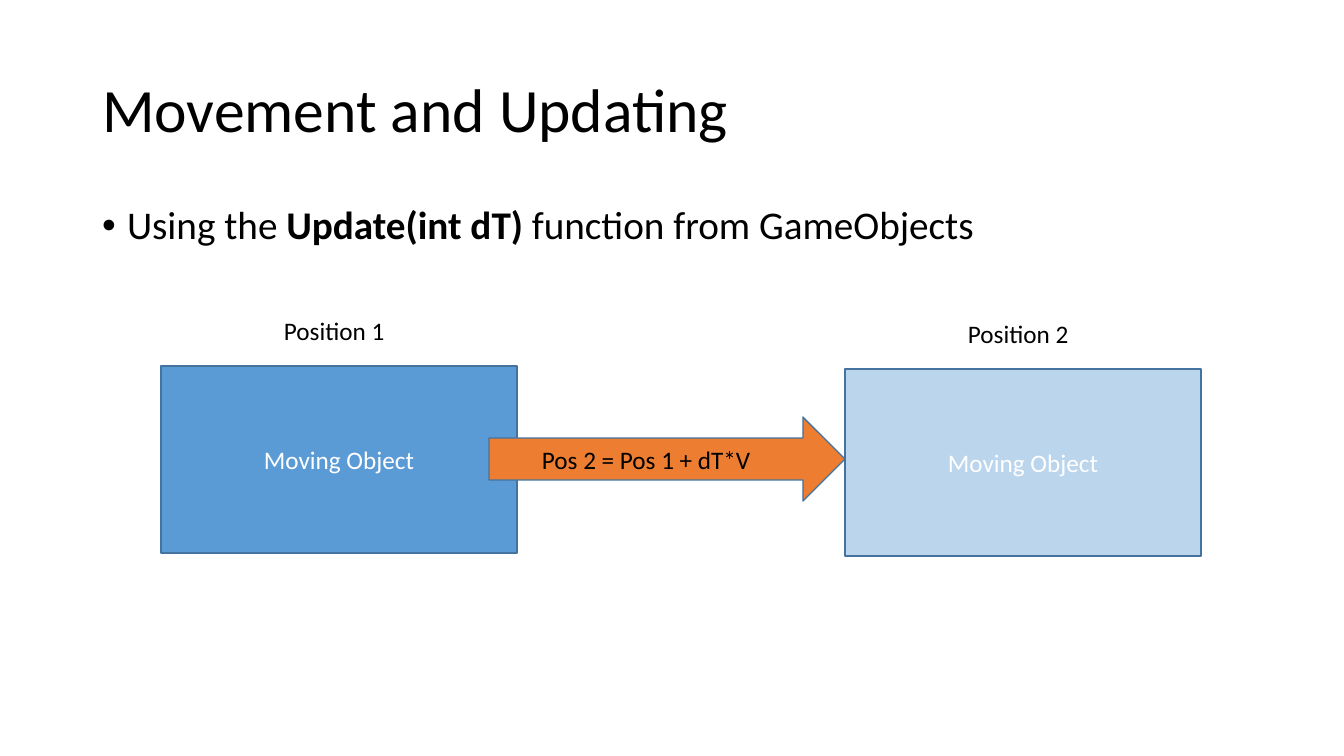
from pptx import Presentation
from pptx.dml.color import RGBColor
from pptx.enum.shapes import MSO_SHAPE as Shape
from pptx.enum.text import MSO_ANCHOR as Anchor, MSO_AUTO_SIZE as Fit, PP_ALIGN as Align
from pptx.oxml.ns import qn
from pptx.util import Emu, Pt
from lxml.etree import SubElement

SCALE = 914400 / 100.8


def px(num):
    """Turn whole pixels into EMU."""
    return Emu(round(num * SCALE))


def rgb(code):
    """Turn a hex string into a colour."""
    return RGBColor.from_string(code)


class Deck:
    """Holds the style and the current slide."""

    font, black, white = "Calibri", "000000", "FFFFFF"
    blue, edge, orange = "5B9BD5", "43739E", "ED7D31"

    def __init__(self):
        """Open a wide deck with one title and body slide."""
        self.file = Presentation()
        self.file.slide_width, self.file.slide_height = px(1344), px(756)
        self.slide = self.file.slides.add_slide(self.file.slide_layouts[1])

    def style(self, para, size, color, align=Align.LEFT):
        """Format a paragraph and all its runs."""
        para.alignment = align
        for run in para.runs:
            font = run.font
            font.name, font.size = self.font, Pt(size)
            font.color.rgb = rgb(color)

    def place(self, item, box, anchor):
        """Move a placeholder and return its first paragraph."""
        item.left, item.top, item.width, item.height = map(px, box)
        frame = item.text_frame
        frame.auto_size, frame.vertical_anchor = Fit.NONE, anchor
        para = frame.paragraphs[0]
        para.line_spacing = 0.9
        return para

    def title(self, text, box):
        """Fill the title placeholder."""
        item = self.slide.shapes.title
        item.text_frame.text = text
        self.style(self.place(item, box, Anchor.MIDDLE), 44, self.black)

    def bullet(self, parts, box):
        """Fill the body with one bullet of (text, bold) parts."""
        para = self.place(self.slide.placeholders[1], box, Anchor.TOP)
        para.space_before = Pt(10)
        for text, bold in parts:
            run = para.add_run()
            run.text, run.font.bold = text, bold
        self.style(para, 28, self.black)
        props = para._p.get_or_add_pPr()
        props.set("marL", str(px(25)))
        props.set("indent", str(px(-25)))
        SubElement(props, qn("a:buFont")).set("typeface", "Arial")
        SubElement(props, qn("a:buChar")).set("char", "•")

    def shape(self, kind, box, fill, text="", alpha=100):
        """Add an outlined shape, with centred text if given."""
        item = self.slide.shapes.add_shape(kind, *map(px, box))
        item.shadow.inherit = False
        item.fill.solid()
        item.fill.fore_color.rgb = rgb(fill)
        item.line.color.rgb, item.line.width = rgb(self.edge), Pt(1)
        if alpha < 100:
            color = item.fill._xPr.find(qn("a:solidFill"))[0]
            SubElement(color, qn("a:alpha")).set("val", str(alpha * 1000))
        if text:
            frame = item.text_frame
            frame.text, frame.vertical_anchor = text, Anchor.MIDDLE
            self.style(frame.paragraphs[0], 18, self.white, Align.CENTER)

    def label(self, text, box):
        """Add a plain text box."""
        frame = self.slide.shapes.add_textbox(*map(px, box)).text_frame
        frame.word_wrap, frame.auto_size = True, Fit.SHAPE_TO_FIT_TEXT
        frame.text = text
        self.style(frame.paragraphs[0], 18, self.black)

    def state(self, name, left, top, alpha=100):
        """Add the moving object at one position, with its label above."""
        self.shape(Shape.RECTANGLE, (left, top, 356, 187), self.blue,
                   "Moving Object", alpha)
        self.label(name, (left + 113, top - 56, 131, 40))


deck = Deck()
deck.title("Movement and Updating", (92, 40, 1159, 146))
deck.bullet([("Using the ", False), ("Update(int dT)", True),
             (" function from GameObjects", False)], (92, 201, 1159, 480))
deck.state("Position 1", 161, 366)
deck.shape(Shape.RIGHT_ARROW, (489, 417, 356, 84), deck.orange)
deck.state("Position 2", 845, 369, 41)
deck.label("Pos 2 = Pos 1 + dT*V", (532, 439, 298, 40))
deck.file.save("out.pptx")
